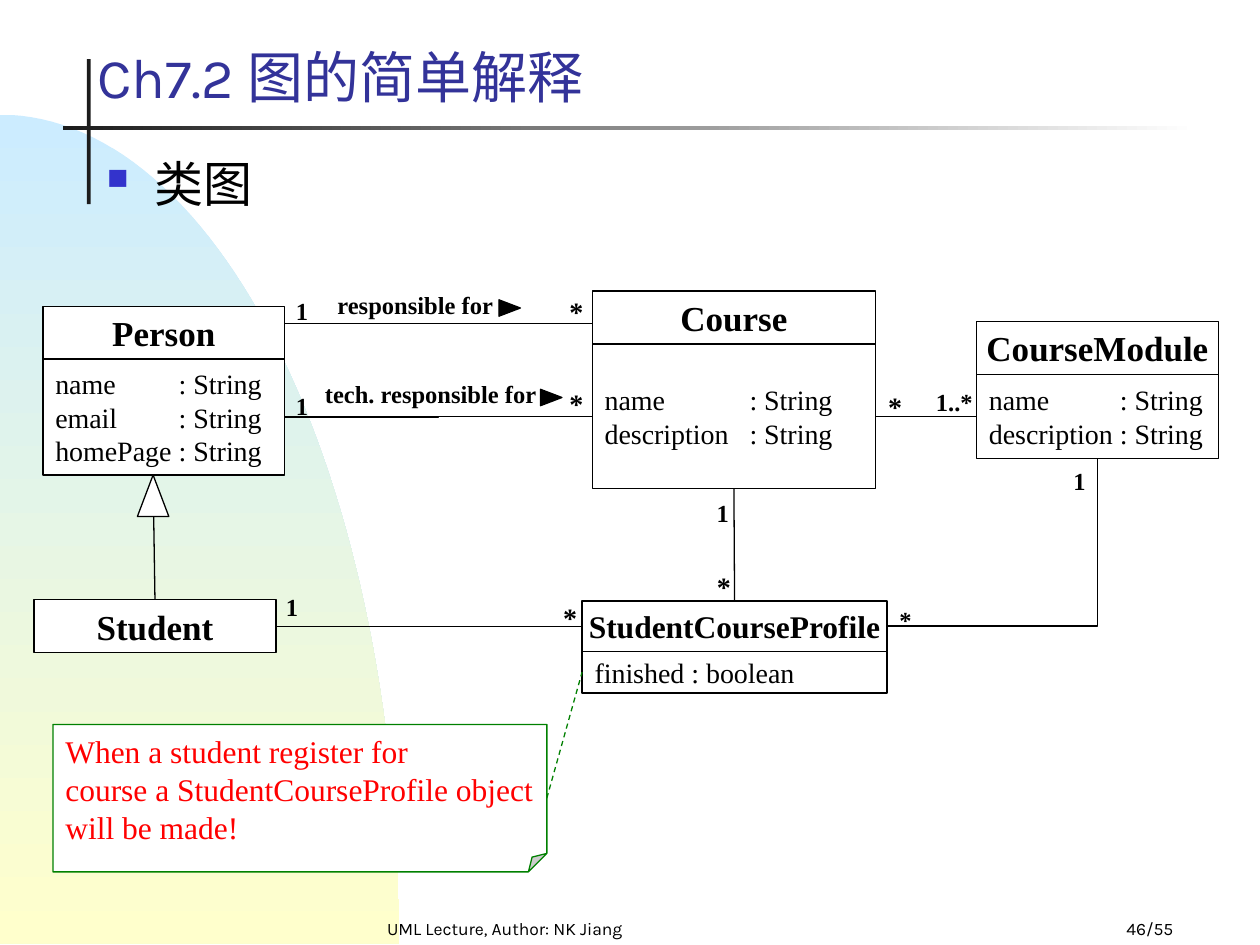
from math import cos, pi, sin
from typing import NamedTuple

from lxml.etree import SubElement
from pptx import Presentation
from pptx.dml.color import RGBColor
from pptx.enum.dml import MSO_LINE
from pptx.enum.shapes import MSO_CONNECTOR as LINK, MSO_SHAPE as FORM
from pptx.enum.text import MSO_ANCHOR as ANCHOR, MSO_AUTO_SIZE, PP_ALIGN as ALIGN
from pptx.oxml.ns import qn
from pptx.util import Inches, Pt

SANS, SERIF = "Karla", "Times New Roman"
BLACK, WHITE, GREEN = "000000", "FFFFFF", "008000"

class Entity(NamedTuple):
    name: str
    left: float
    top: float
    width: float
    head: float
    body: float = 0
    rows: tuple[str, ...] = ()
    tab: float = 0
    size: int = 20

class Label(NamedTuple):
    text: str
    left: float
    top: float
    width: float = 0.3
    size: int = 14

ENTITIES = [
    Entity("Course", 4.7, 2.31, 2.25, 0.42, 1.15,
           ("name\t: String", "description\t: String"), 1.15),
    Entity("Person", 0.34, 2.43, 1.92, 0.42, 0.92,
           ("name\t: String", "email\t: String", "homePage\t: String"), 0.98),
    Entity("CourseModule", 7.75, 2.55, 1.92, 0.42, 0.67,
           ("name\t: String", "description\t: String"), 1.04),
    Entity("Student", 0.27, 4.76, 1.92, 0.42),
    Entity("StudentCourseProfile", 4.62, 4.77, 2.42, 0.4, 0.33,
           ("finished : boolean",), size=18),
]
LABELS = [
    Label("1", 2.25, 2.3), Label("1", 2.25, 3.05), Label("1", 2.17, 4.65),
    Label("1", 8.42, 3.65), Label("1", 5.59, 3.9), Label("*", 7.04, 4.75),
    Label("*", 6.95, 3.04, 0.31, 16), Label("*", 4.42, 2.29, 0.31, 16),
    Label("*", 4.42, 3.02, 0.31, 16), Label("*", 4.37, 4.72, 0.31, 16),
    Label("*", 5.59, 4.47, 0.31, 16), Label("1..*", 7.33, 3.02, 0.49),
    Label("responsible for", 2.58, 2.25, 1.44),
    Label("tech. responsible for", 2.48, 2.96, 1.88),
]

def rgb(code: str) -> RGBColor:
    return RGBColor.from_string(code)

def blend(shape, first: str, last: str, angle: int) -> None:
    """Fill with a two-colour gradient, the angle counted anticlockwise."""
    shape.fill.gradient()
    shape.fill.gradient_angle = angle
    for stop, code in zip(shape.fill.gradient_stops, (first, last)):
        stop.color.rgb = rgb(code)

def write(shape, rows, size: int, font=SERIF, color=BLACK, bold=False,
          align=ALIGN.LEFT, anchor=ANCHOR.TOP, wrap=True, tab=0.0) -> None:
    frame = shape.text_frame
    frame.auto_size = MSO_AUTO_SIZE.NONE
    frame.word_wrap = wrap
    frame.vertical_anchor = anchor
    for i, row in enumerate(rows):
        para = frame.add_paragraph() if i else frame.paragraphs[0]
        para.alignment = align
        if tab:
            tabs = SubElement(para._p.get_or_add_pPr(), qn("a:tabLst"))
            SubElement(tabs, qn("a:tab"), pos=str(Inches(tab)), algn="l")
        run = para.add_run()
        run.text = row
        run.font.name, run.font.size, run.font.bold = font, Pt(size), bold
        run.font.color.rgb = rgb(color)

def draw(shapes, form, spot: tuple[float, ...], fill=WHITE, line=BLACK):
    shape = shapes.add_shape(form, *map(Inches, spot))
    shape.shadow.inherit = False
    shape.fill.solid()
    shape.fill.fore_color.rgb = rgb(fill)
    if line:
        shape.line.color.rgb = rgb(line)
        shape.line.width = Pt(0.75)
    else:
        shape.line.fill.background()
    return shape

def box(shapes, *spot: float):
    return shapes.add_textbox(*map(Inches, spot))

def wire(shapes, kind, start=(0, 0), stop=(0, 0), begin=None, end=None, color=BLACK):
    """Draw a line between points, or between (shape, side) pairs."""
    line = shapes.add_connector(kind, *map(Inches, start + stop))
    if begin:
        line.begin_connect(*begin)
    if end:
        line.end_connect(*end)
    line.line.color.rgb = rgb(color)
    line.line.width = Pt(0.75)
    SubElement(line._element.spPr, qn("a:effectLst"))
    return line

def backdrop(shapes) -> None:
    turns = [pi / 2 * i / 60 for i in range(61)]
    arc = [(Inches(3.17 * sin(t)), Inches(7.49 - 6.58 * cos(t))) for t in turns]
    pen = shapes.build_freeform(0, Inches(7.49))
    pen.add_line_segments(arc)
    dome = pen.convert_to_shape()
    dome.shadow.inherit = False
    dome.line.fill.background()
    blend(dome, "CCECFF", "FFFFCC", 270)
    draw(shapes, FORM.RECTANGLE, (0.69, 0.47, 0.03, 1.15), "1C1C1C", None)
    rule = draw(shapes, FORM.RECTANGLE, (0.5, 1, 9, 0.03), WHITE, None)
    blend(rule, "1C1C1C", WHITE, 0)

def topic(shapes) -> None:
    area = box(shapes, 0.75, 1.17, 8.83, 0.75)
    props = area.text_frame.paragraphs[0]._p.get_or_add_pPr()
    props.set("marL", str(Inches(0.38)))
    props.set("indent", str(-Inches(0.38)))
    tint = SubElement(props, qn("a:buClr"))
    SubElement(tint, qn("a:srgbClr"), val="3333CC")
    SubElement(props, qn("a:buSzPct"), val="60000")
    SubElement(props, qn("a:buChar"), char="■")
    write(area, ["类图"], 28, SANS)

def entity(shapes, item: Entity):
    """Draw a class and return its name box and its attribute box."""
    body = None
    if item.rows:
        body = draw(shapes, FORM.RECTANGLE,
                    (item.left, item.top + item.head, item.width, item.body))
        body.text_frame.margin_right = 0
        write(body, item.rows, 16, anchor=ANCHOR.MIDDLE, tab=item.tab)
    head = draw(shapes, FORM.RECTANGLE, (item.left, item.top, item.width, item.head))
    write(head, [item.name], item.size, bold=True, align=ALIGN.CENTER,
          anchor=ANCHOR.MIDDLE, wrap=False)
    return head, body

def main() -> None:
    deck = Presentation()
    deck.slide_width, deck.slide_height = Inches(10), Inches(7.5)
    shapes = deck.slides.add_slide(deck.slide_layouts[5]).shapes
    backdrop(shapes)
    title = shapes.title
    title.left, title.top = Inches(0.67), Inches(0.17)
    title.width, title.height = Inches(7.08), Inches(0.75)
    write(title, ["Ch7.2 图的简单解释"], 32, SANS, "333399", anchor=ANCHOR.BOTTOM)
    topic(shapes)

    wire(shapes, LINK.STRAIGHT, (2.08, 2.57), (5, 2.57))
    made = {item.name: entity(shapes, item) for item in ENTITIES}
    course, person, module = (
        made[name][1] for name in ("Course", "Person", "CourseModule"))
    student = made["Student"][0]
    profile, detail = made["StudentCourseProfile"]
    for left, right in ((person, course), (course, module), (student, profile)):
        wire(shapes, LINK.ELBOW, begin=(left, 3), end=(right, 1))
    wire(shapes, LINK.STRAIGHT, begin=(course, 2), end=(profile, 0))
    wire(shapes, LINK.STRAIGHT, (1.22, 4.1), end=(student, 0))
    corner = wire(shapes, LINK.ELBOW, begin=(profile, 3), end=(module, 2))
    corner._element.spPr.find(qn("a:prstGeom")).set("prst", "bentConnector2")

    draw(shapes, FORM.ISOSCELES_TRIANGLE, (1.09, 3.77, 0.25, 0.33))
    for left, top in ((3.98, 2.36), (4.31, 3.07)):
        arrow = draw(shapes, FORM.ISOSCELES_TRIANGLE, (left, top, 0.13, 0.17), BLACK)
        arrow.rotation = 90
    for tag in LABELS:
        area = box(shapes, tag.left, tag.top, tag.width, 0.1 + tag.size / 60)
        write(area, [tag.text], tag.size, bold=True, wrap=False)

    note = draw(shapes, FORM.FOLDED_CORNER, (0.42, 5.75, 3.92, 1.17), line=GREEN)
    fold = note._element.spPr.find(qn("a:prstGeom")).find(qn("a:avLst"))
    SubElement(fold, qn("a:gd"), name="adj", fmla="val 12500")
    write(note, ["When a student register for",
                 "course a StudentCourseProfile object will be made!"],
          18, color="FF0000", anchor=ANCHOR.MIDDLE)
    tie = wire(shapes, LINK.STRAIGHT, begin=(note, 3), end=(detail, 1), color=GREEN)
    tie.line.dash_style = MSO_LINE.DASH

    foot = box(shapes, 2.42, 7.17, 3.17, 0.33)
    write(foot, ["UML Lecture, Author: NK Jiang"], 10, SANS,
          align=ALIGN.CENTER, anchor=ANCHOR.BOTTOM)
    page = box(shapes, 7.33, 7.17, 2.08, 0.33)
    write(page, ["46/55"], 10, SANS, align=ALIGN.RIGHT, anchor=ANCHOR.BOTTOM)
    deck.save("out.pptx")

if __name__ == "__main__":
    main()
